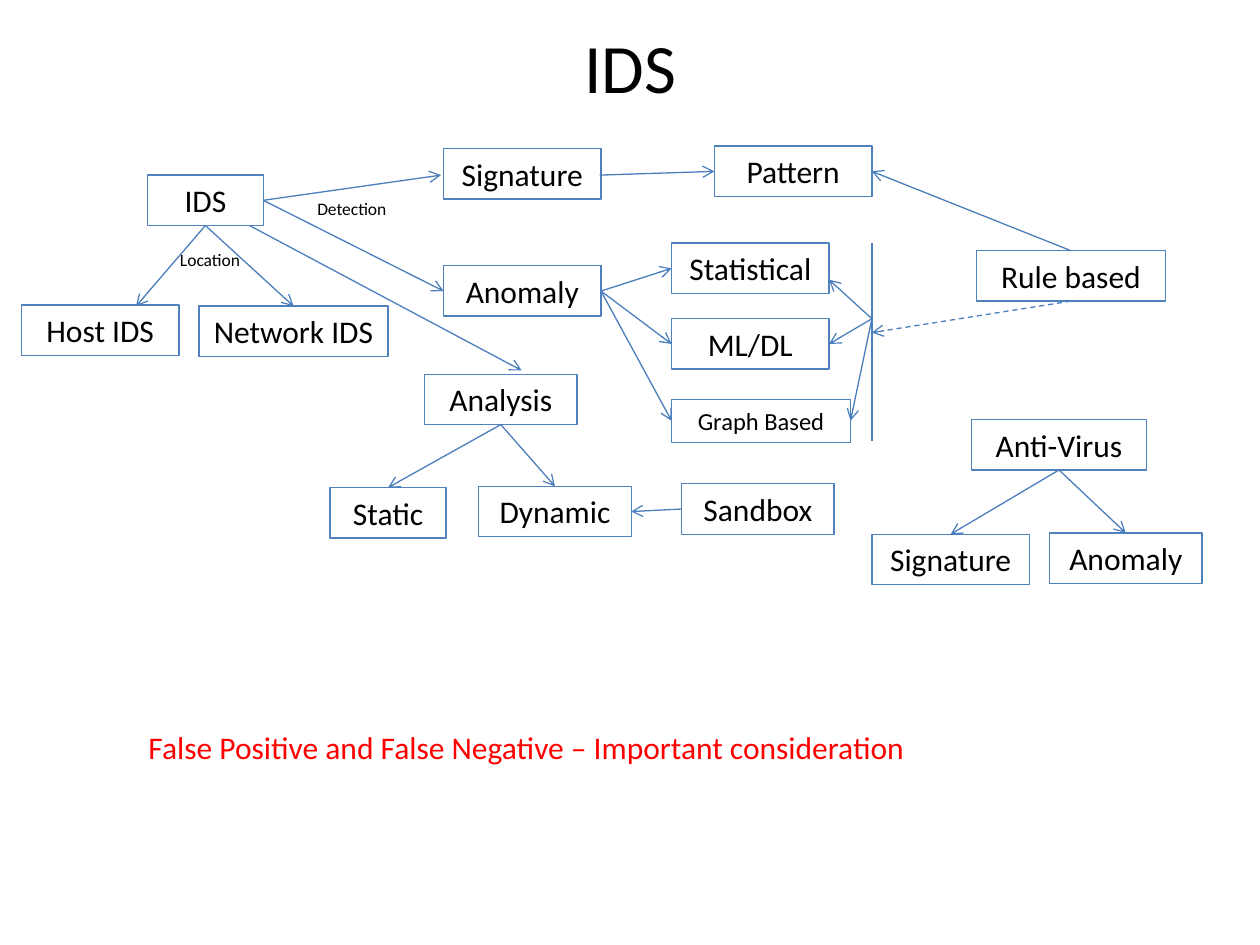
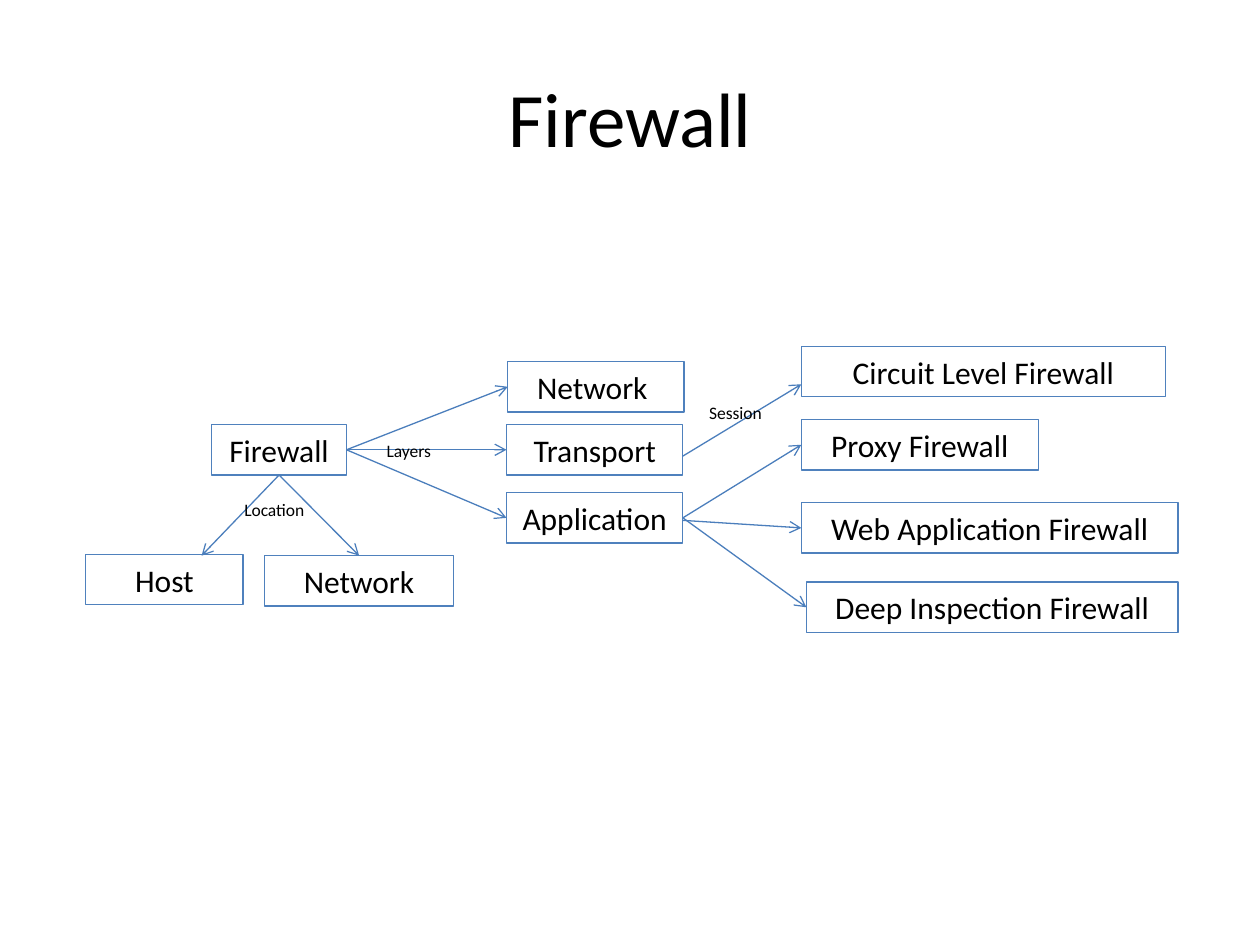
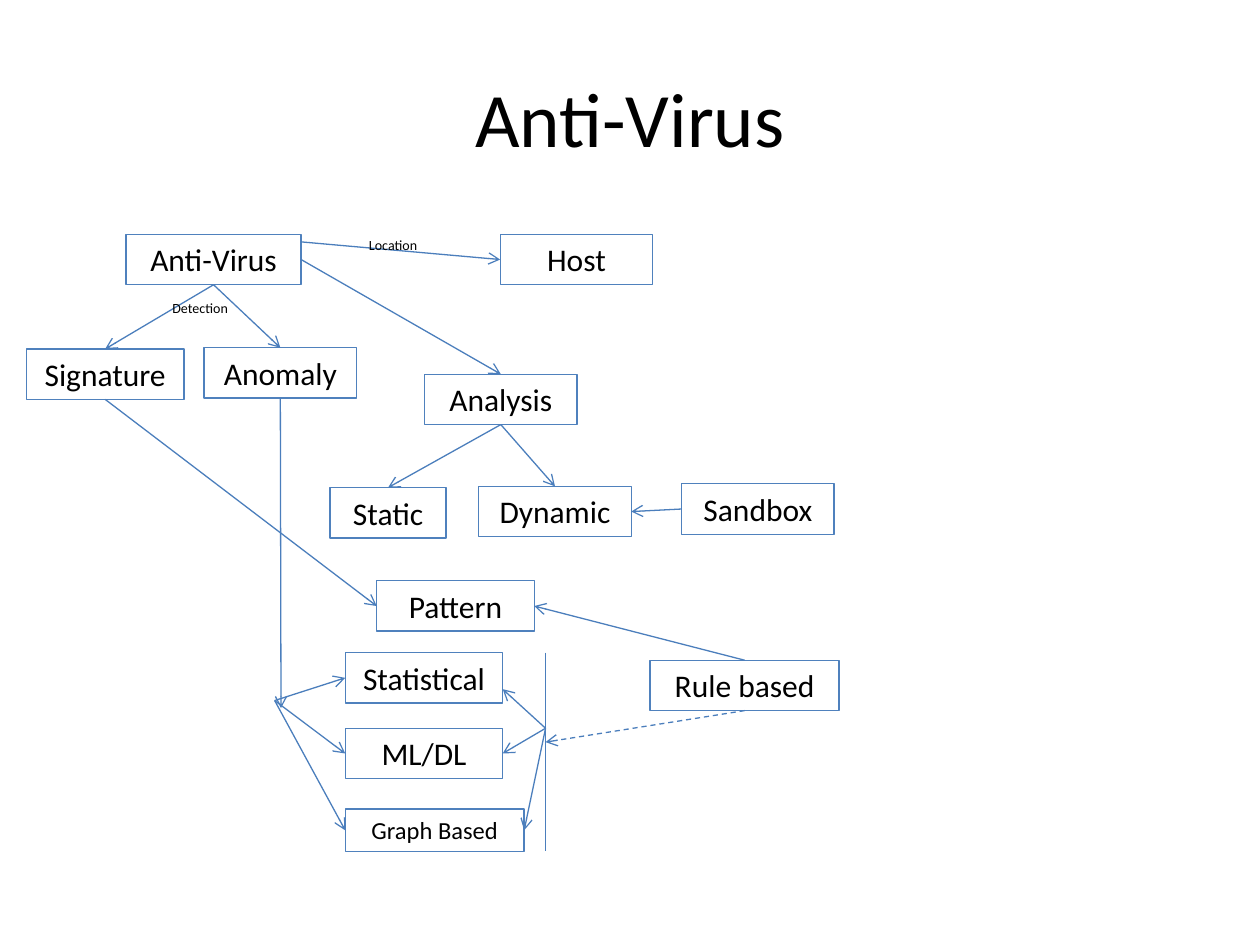
import pptx
import pptx.util
import pptx.dml.color
import pptx.enum.dml
import pptx.enum.shapes
import pptx.enum.text
import pptx.oxml.ns
import lxml.etree

FONT = "Calibri"
BLACK = "000000"
RED = "FF0000"
BOX_LINE = "4F81BD"
ARROW_LINE = "4B7EBC"
LINE_WIDTH = pptx.util.Pt(0.75)
HEIGHT_BY_SIZE = {18: 0.4, 14: 0.34, 10: 0.27, 8: 0.24}
SITES = {"top": 0, "left": 1, "bottom": 2, "right": 3}
Inches = pptx.util.Inches


def color(hex_string):
    return pptx.dml.color.RGBColor.from_string(hex_string)


def write_text(shape, text, size, hex_string, alignment):
    frame = shape.text_frame
    frame.word_wrap = True
    paragraph = frame.paragraphs[0]
    paragraph.alignment = alignment
    run = paragraph.add_run()
    run.text = text
    run.font.name = FONT
    run.font.size = pptx.util.Pt(size)
    run.font.color.rgb = color(hex_string)
    return frame


analysis = {
    "boxes": [
        ("Static", 2.62, 3.87, 0.92, 18),
        ("Dynamic", 3.8, 3.86, 1.21, 18),
        ("Analysis", 3.37, 2.97, 1.21, 18),
        ("Sandbox", 5.41, 3.84, 1.21, 18),
    ],
    "lines": [
        (("Analysis", "bottom"), ("Static", "top"), "arrow"),
        (("Analysis", "bottom"), ("Dynamic", "top"), "arrow"),
        (("Sandbox", "left"), ("Dynamic", "right"), "arrow"),
    ],
    "labels": [],
}

fan_start = (4.77, 2.31)
bracket_middle = (6.92, 2.53)
techniques = {
    "boxes": [
        ("Statistical", 5.33, 1.93, 1.25, 18),
        ("ML/DL", 5.33, 2.53, 1.25, 18),
        ("Graph Based", 5.33, 3.17, 1.42, 14),
        ("Rule based", 7.75, 1.99, 1.5, 18),
    ],
    "lines": [
        (fan_start, ("Statistical", "left"), "arrow"),
        (fan_start, ("ML/DL", "left"), "arrow"),
        (fan_start, ("Graph Based", "left"), "arrow"),
        (("Rule based", "bottom"), (6.92, 2.64), "dashed arrow"),
        ((6.92, 1.93), (6.92, 3.5), "plain"),
        (bracket_middle, (6.58, 2.22), "arrow"),
        (bracket_middle, ("Graph Based", "right"), "arrow"),
        (bracket_middle, ("ML/DL", "right"), "arrow"),
    ],
    "labels": [],
}

anti_virus = {
    "boxes": [
        ("Signature", 6.92, 4.24, 1.25, 18),
        ("Anomaly", 8.33, 4.23, 1.21, 18),
        ("Anti-Virus", 7.71, 3.33, 1.39, 18),
    ],
    "lines": [
        (("Anti-Virus", "bottom"), ("Signature", "top"), "arrow"),
        (("Anti-Virus", "bottom"), ("Anomaly", "top"), "arrow"),
    ],
    "labels": [],
}

ids = {
    "boxes": [
        ("IDS", 1.17, 1.39, 0.92, 18),
        ("Host IDS", 0.17, 2.42, 1.25, 18),
        ("Network IDS", 1.58, 2.43, 1.5, 18),
        ("Signature", 3.52, 1.18, 1.25, 18),
        ("Anomaly", 3.52, 2.11, 1.25, 18),
        ("Pattern", 5.67, 1.16, 1.25, 18),
    ],
    "lines": [
        (("IDS", "bottom"), (1.08, 2.43), "arrow"),
        (("IDS", "bottom"), ("Network IDS", "top"), "arrow"),
        (("IDS", "right"), (3.5, 1.39), "arrow"),
        (("IDS", "right"), ("Anomaly", "left"), "arrow"),
        ((4.76, 1.39), ("Pattern", "left"), "arrow"),
        ((1.98, 1.79), (4.14, 2.94), "arrow"),
        (("Rule based", "top"), ("Pattern", "right"), "arrow"),
    ],
    "labels": [
        ("Location", 1.33, 1.93, 0.75, 10, BLACK),
        ("Detection", 2.42, 1.52, 0.83, 10, BLACK),
        ("False Positive and False Negative – Important consideration",
         1.08, 5.73, 6.89, 18, RED),
    ],
}

firewall = {
    "boxes": [
        ("Firewall", 1.68, 3.37, 1.07, 18),
        ("Host", 0.68, 4.4, 1.25, 18),
        ("Network", 2.1, 4.41, 1.5, 18),
        ("Network ", 4.03, 2.87, 1.4, 18),
        ("Transport", 4.02, 3.37, 1.4, 18),
        ("Application", 4.02, 3.91, 1.4, 18),
        ("Circuit Level Firewall", 6.36, 2.75, 2.89, 18),
        ("Proxy Firewall", 6.36, 3.33, 1.88, 18),
        ("Web Application Firewall", 6.36, 3.99, 2.99, 18),
        ("Deep Inspection Firewall", 6.4, 4.62, 2.95, 18),
    ],
    "lines": [
        (("Firewall", "bottom"), (1.6, 4.41), "arrow"),
        (("Firewall", "bottom"), ("Network", "top"), "arrow"),
        (("Firewall", "right"), ("Network ", "left"), "arrow"),
        (("Firewall", "right"), ("Transport", "left"), "arrow"),
        (("Firewall", "right"), ("Application", "left"), "arrow"),
        ((5.42, 3.62), (6.36, 3.05), "arrow"),
        (("Application", "right"), ("Proxy Firewall", "left"), "arrow"),
        ((5.42, 4.13), ("Web Application Firewall", "left"), "arrow"),
        (("Application", "right"), ("Deep Inspection Firewall", "left"), "arrow"),
    ],
    "labels": [
        ("Location", 1.84, 3.91, 0.75, 10, BLACK),
        ("Layers", 2.97, 3.44, 0.75, 10, BLACK),
        ("Session", 5.53, 3.14, 0.75, 10, BLACK),
    ],
}

anti_virus_links = {
    "boxes": [
        ("Host", 3.97, 1.86, 1.21, 18),
        ("Pattern", 2.99, 4.61, 1.25, 18),
    ],
    "lines": [
        (("Anti-Virus", "right"), ("Analysis", "top"), "arrow"),
        ((2.39, 1.92), ("Host", "left"), "arrow"),
        (("Signature", "bottom"), ("Pattern", "left"), "arrow"),
        (("Rule based", "top"), ("Pattern", "right"), "arrow"),
        (("Anomaly", "bottom"), (2.23, 5.62), "arrow"),
    ],
    "labels": [
        ("Detection", 1.27, 2.33, 0.96, 8, BLACK),
        ("Location", 2.83, 1.83, 0.96, 8, BLACK),
    ],
}

slides = [
    ("IDS", 39.6, 0.45,
     [(anti_virus, 0, 0), (analysis, 0, 0), (techniques, 0, 0), (ids, 0, 0)]),
    ("Firewall", 44, 1.25, [(firewall, 0, 0)]),
    ("Anti-Virus", 44, 1.25,
     [(anti_virus, -6.71, -1.47), (analysis, 0, 0), (techniques, -2.59, 3.25),
      (anti_virus_links, 0, 0)]),
]

presentation = pptx.Presentation()
presentation.slide_width = Inches(10)
presentation.slide_height = Inches(7.5)

for title_text, title_size, title_height, diagrams in slides:
    slide = presentation.slides.add_slide(presentation.slide_layouts[5])
    title = slide.shapes.title
    title.left, title.top = Inches(0.5), Inches(0.3)
    title.width, title.height = Inches(9), Inches(title_height)
    frame = write_text(title, title_text, title_size, BLACK, pptx.enum.text.PP_ALIGN.CENTER)
    frame.vertical_anchor = pptx.enum.text.MSO_ANCHOR.MIDDLE

    boxes = {}
    for diagram, shift_x, shift_y in diagrams:
        for text, left, top, width, size in diagram["boxes"]:
            box = slide.shapes.add_shape(
                pptx.enum.shapes.MSO_SHAPE.RECTANGLE,
                Inches(left + shift_x), Inches(top + shift_y),
                Inches(width), Inches(HEIGHT_BY_SIZE[size]))
            box.shadow.inherit = False
            box.fill.background()
            box.line.color.rgb = color(BOX_LINE)
            box.line.width = LINE_WIDTH
            frame = write_text(box, text, size, BLACK, pptx.enum.text.PP_ALIGN.CENTER)
            frame.vertical_anchor = pptx.enum.text.MSO_ANCHOR.TOP
            frame.auto_size = pptx.enum.text.MSO_AUTO_SIZE.SHAPE_TO_FIT_TEXT
            boxes[text] = box

        for begin, end, style in diagram["lines"]:
            connector = slide.shapes.add_connector(
                pptx.enum.shapes.MSO_CONNECTOR.STRAIGHT, 0, 0, 0, 0)
            if begin[0] in boxes:
                connector.begin_connect(boxes[begin[0]], SITES[begin[1]])
            else:
                connector.begin_x = Inches(begin[0] + shift_x)
                connector.begin_y = Inches(begin[1] + shift_y)
            if end[0] in boxes:
                connector.end_connect(boxes[end[0]], SITES[end[1]])
            else:
                connector.end_x = Inches(end[0] + shift_x)
                connector.end_y = Inches(end[1] + shift_y)
            connector.line.color.rgb = color(ARROW_LINE)
            connector.line.width = LINE_WIDTH
            if style == "dashed arrow":
                connector.line.dash_style = pptx.enum.dml.MSO_LINE.DASH
            properties = connector._element.spPr
            if style != "plain":
                outline = properties.find(pptx.oxml.ns.qn("a:ln"))
                lxml.etree.SubElement(outline, pptx.oxml.ns.qn("a:tailEnd"), type="arrow")
            lxml.etree.SubElement(properties, pptx.oxml.ns.qn("a:effectLst"))

        for text, left, top, width, size, text_color in diagram["labels"]:
            label = slide.shapes.add_textbox(
                Inches(left), Inches(top), Inches(width), Inches(HEIGHT_BY_SIZE[size]))
            frame = write_text(label, text, size, text_color, pptx.enum.text.PP_ALIGN.LEFT)
            frame.auto_size = pptx.enum.text.MSO_AUTO_SIZE.SHAPE_TO_FIT_TEXT

presentation.save("out.pptx")
